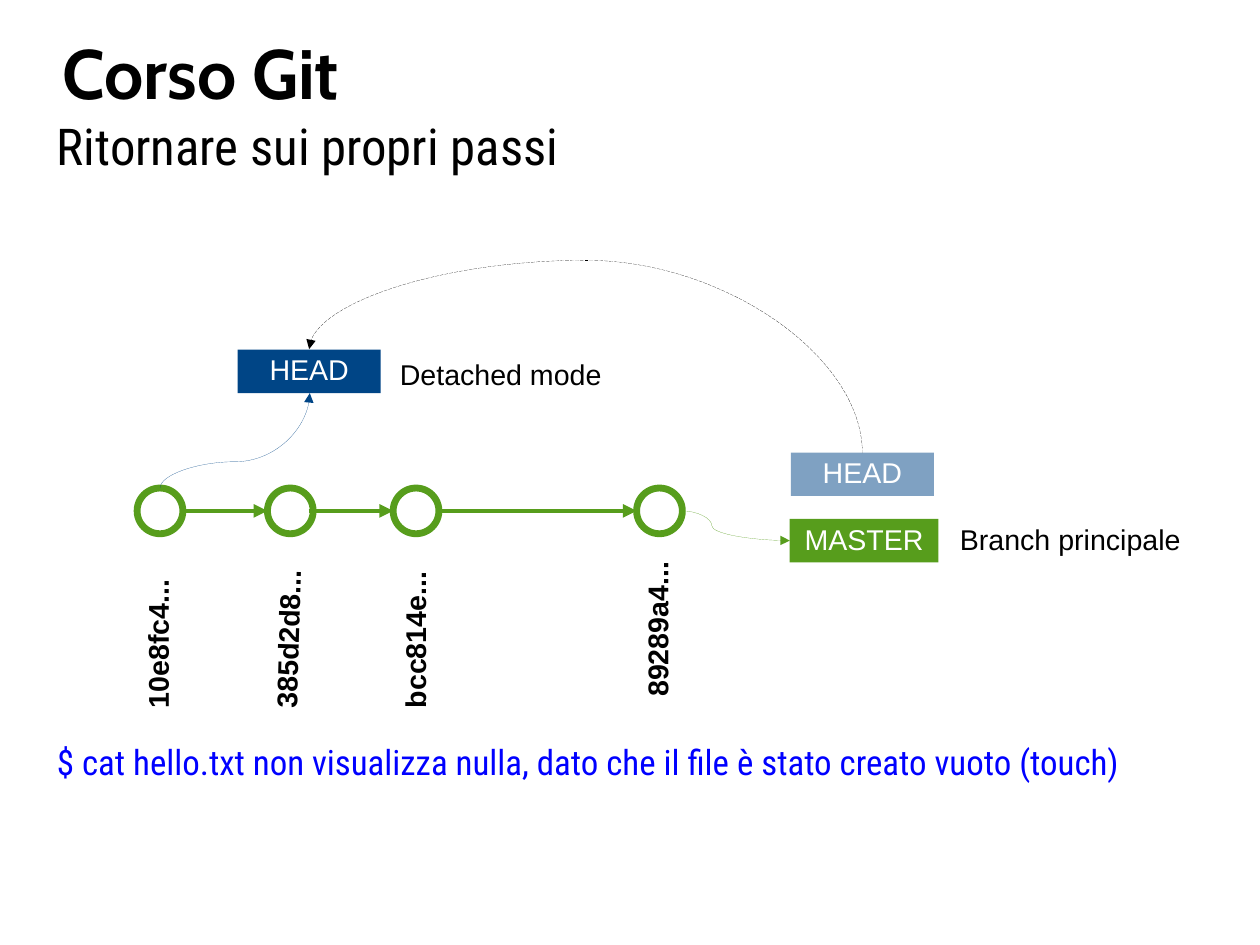
"""Build the course slide on a detached HEAD in a commit graph."""
import pptx
import pptx.dml.color
import pptx.enum.dml
import pptx.enum.shapes
import pptx.enum.text
import pptx.oxml
import pptx.util

Inches = pptx.util.Inches
Pt = pptx.util.Pt
RGBColor = pptx.dml.color.RGBColor
Shape = pptx.enum.shapes.MSO_SHAPE
Link = pptx.enum.shapes.MSO_CONNECTOR
Align = pptx.enum.text.PP_ALIGN
Anchor = pptx.enum.text.MSO_ANCHOR

BLACK = RGBColor(0, 0, 0)
WHITE = RGBColor(255, 255, 255)
GREEN = RGBColor(0x57, 0x9D, 0x1C)
NAVY = RGBColor(0x00, 0x45, 0x86)
BLUE = RGBColor(0, 0, 255)
NS = 'xmlns:a="http://schemas.openxmlformats.org/drawingml/2006/main"'

deck = pptx.Presentation()
deck.slide_width = Inches(28 / 2.54)
deck.slide_height = Inches(21 / 2.54)
slide = deck.slides.add_slide(deck.slide_layouts[6])
shapes = slide.shapes


def write(par, text, size=18, font="Arial", color=BLACK, bold=False):
    par.line_spacing = 0.93
    run = par.add_run()
    run.text = text
    run.font.size = Pt(size)
    run.font.name = font
    run.font.color.rgb = color
    run.font.bold = bold


def link(kind, ends, color, width):
    line = shapes.add_connector(kind, *[Inches(n) for n in ends])
    line.line.color.rgb = color
    stroke = line.line._get_or_add_ln()
    stroke.set("w", str(Pt(width)))
    stroke.append(pptx.oxml.parse_xml(f'<a:tailEnd {NS} type="triangle"/>'))
    line._element.spPr.append(pptx.oxml.parse_xml(f"<a:effectLst {NS}/>"))
    return line


title = shapes.add_textbox(Inches(0.55), Inches(0.33), Inches(9.91), Inches(0.68))
frame = title.text_frame
frame.word_wrap = True
frame.vertical_anchor = Anchor.MIDDLE
frame.margin_left = frame.margin_right = frame.margin_top = frame.margin_bottom = 0
write(frame.paragraphs[0], "Corso Git", 44, "Cabin", bold=True)

body = shapes.add_textbox(Inches(0.4), Inches(1), Inches(9.8), Inches(7.23))
frame = body.text_frame
frame.word_wrap = True
write(frame.paragraphs[0], "Ritornare sui propri passi", 32, "Roboto Condensed")
note = frame.add_paragraph()
note.space_before = Pt(357.5)
write(
    note,
    "$ cat hello.txt non visualizza nulla, dato che il file è stato creato vuoto (touch)",
    22, "Roboto Condensed", BLUE,
)

for left in (1.2, 2.34, 3.44, 5.57):
    node = shapes.add_shape(
        Shape.OVAL, Inches(left), Inches(4.27), Inches(0.4), Inches(0.4))
    node.shadow.inherit = False
    node.fill.background()
    node.line.color.rgb = GREEN
    node.line.width = Pt(4.31)

for start, end in ((1.6, 2.34), (2.7, 3.44), (3.84, 5.57)):
    link(Link.STRAIGHT, (start, 4.47, end, 4.47), GREEN, 2.89)

labels = (
    ("10e8fc4...", 0.64, 5.35, 1.51, 270, True),
    ("385d2d8...", 1.8, 5.37, 1.47, 271.7, True),
    ("bcc814e...", 2.91, 5.37, 1.47, 270, True),
    ("89289a4...", 5.06, 5.3, 1.41, 270, True),
    ("Detached mode", 3.4, 3.1, 2.3, 0, False),
    ("Branch principale", 8.3, 4.54, 2.2, 0, False),
)
for text, left, top, width, turn, bold in labels:
    label = shapes.add_textbox(Inches(left), Inches(top), Inches(width), Inches(0.38))
    label.rotation = turn
    label.text_frame.word_wrap = True
    write(label.text_frame.paragraphs[0], text, bold=bold)

refs = (
    ("MASTER", 6.91, 4.54, 1.3, GREEN, 100),
    ("HEAD", 2.08, 3.06, 1.25, NAVY, 100),
    ("HEAD", 6.92, 3.96, 1.25, NAVY, 50),
)
for text, left, top, width, color, alpha in refs:
    ref = shapes.add_shape(
        Shape.RECTANGLE, Inches(left), Inches(top), Inches(width), Inches(0.38))
    ref.shadow.inherit = False
    ref.fill.solid()
    ref.fill.fore_color.rgb = color
    ref.line.fill.background()
    if alpha < 100:
        tint = ref._element.spPr.find(".//{*}srgbClr")
        tint.append(pptx.oxml.parse_xml(f'<a:alpha {NS} val="{alpha * 1000}"/>'))
    frame = ref.text_frame
    frame.vertical_anchor = Anchor.TOP
    frame.paragraphs[0].alignment = Align.CENTER
    write(frame.paragraphs[0], text, color=WHITE)

curves = (
    (1.64, 3.2, 0.83, 1.31, 90, "HV", 27700, NAVY, False),
    (5.97, 4.47, 0.94, 0.26, 0, "", 27500, GREEN, False),
    (4.67, 1.09, 0.91, 4.84, 270, "V", 185500, BLACK, True),
)
for left, top, width, height, turn, flips, bend, color, dashed in curves:
    curve = link(Link.CURVE, (left, top, left + width, top + height), color, 0)
    if dashed:
        curve.line.dash_style = pptx.enum.dml.MSO_LINE.SQUARE_DOT
    frame = curve._element.spPr.xfrm
    frame.set("rot", str(turn * 60000))
    for axis in flips:
        frame.set("flip" + axis, "1")
    guides = curve._element.spPr.find(".//{*}avLst")
    guides.append(pptx.oxml.parse_xml(f'<a:gd {NS} name="adj1" fmla="val {bend}"/>'))

deck.save("out.pptx")
